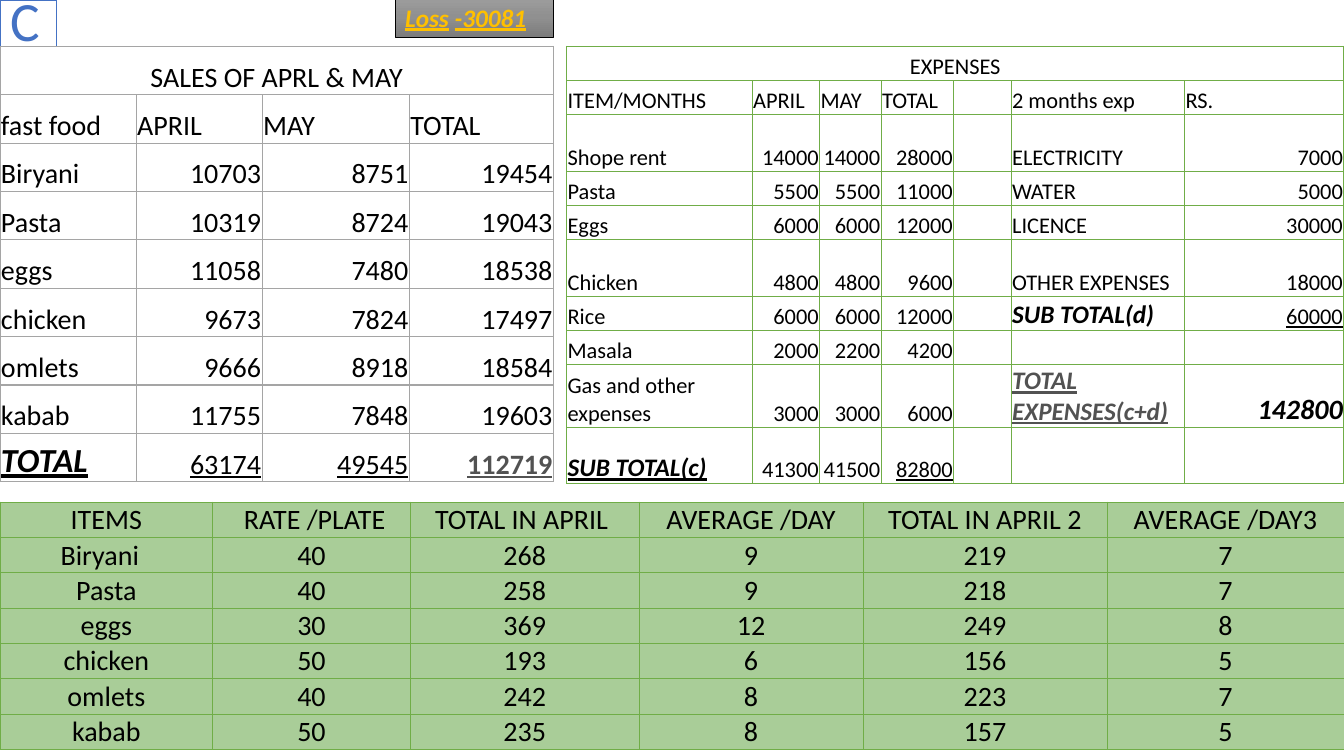
from copy import deepcopy
from pptx import Presentation
from pptx.dml.color import RGBColor
from pptx.enum.shapes import MSO_SHAPE
from pptx.enum.text import MSO_ANCHOR, MSO_AUTO_SIZE, PP_ALIGN
from pptx.oxml import parse_xml
from pptx.oxml.ns import nsdecls
from pptx.util import Inches, Pt

COLORS = {
    "white": "FFFFFF", "black": "000000", "blue": "4472C4", "gray": "A5A5A5",
    "dark": "525252", "green": "70AD47", "light_green": "A9CD98", "gold": "FFC000",
}
STEEL = [(0, "9D9D9D"), (0.5, "909090"), (1, "7C7C7C")]


def write(p, text, size=20, color="black", bold=False, italic=False,
          underline=False, align=PP_ALIGN.LEFT):
    p.alignment = align
    r = p.add_run()
    r.text = text
    r.font.name = "Calibri"
    r.font.size = Pt(size)
    r.font.bold = bold
    r.font.italic = italic
    r.font.underline = underline
    r.font.color.rgb = RGBColor.from_string(COLORS[color])


def add_grid(s, left, top, widths, heights, rows, size, border, weight,
             fill=None, merge=False, center=False, styles={}):
    table = s.shapes.add_table(len(rows), len(widths), Inches(left), Inches(top),
                               Inches(sum(widths)), Inches(sum(heights))).table
    table.first_row = table.horz_banding = False
    for column, width in zip(table.columns, widths):
        column.width = Inches(width)
    for row, height in zip(table.rows, heights):
        row.height = Inches(height)
    if merge:
        table.cell(0, 0).merge(table.cell(0, len(widths) - 1))
    for i in range(len(rows)):
        for j in range(len(widths)):
            cell = table.cell(i, j)
            cell.margin_left = cell.margin_right = cell.margin_top = Inches(0.01)
            cell.margin_bottom = 0
            cell.vertical_anchor = MSO_ANCHOR.BOTTOM
            tcPr = cell._tc.get_or_add_tcPr()
            for side in "LRTB":
                tcPr.append(parse_xml(
                    f'<a:ln{side} {nsdecls("a")} w="{Pt(weight)}"><a:solidFill>'
                    f'<a:srgbClr val="{COLORS[border]}"/></a:solidFill></a:ln{side}>'))
            if fill:
                cell.fill.solid()
                cell.fill.fore_color.rgb = RGBColor.from_string(COLORS[fill])
            else:
                cell.fill.background()
            text = rows[i][j] if j < len(rows[i]) else ""
            if text:
                if center or (merge and i == 0):
                    align = PP_ALIGN.CENTER
                else:
                    align = PP_ALIGN.RIGHT if text.isdigit() else PP_ALIGN.LEFT
                style = {"size": size, "align": align, **styles.get((i, j), {})}
                write(cell.text_frame.paragraphs[0], text, **style)
    return table


prs = Presentation()
prs.slide_width = Inches(13.33)
prs.slide_height = Inches(7.5)
s = prs.slides.add_slide(prs.slide_layouts[5])

title = s.shapes.title
title.left, title.top = Inches(0), Inches(0)
title.width, title.height = Inches(0.56), Inches(0.46)
title.fill.solid()
title.fill.fore_color.rgb = RGBColor.from_string(COLORS["white"])
title.line.color.rgb = RGBColor.from_string(COLORS["blue"])
title.line.width = Pt(1)
tf = title.text_frame
tf.auto_size = MSO_AUTO_SIZE.NONE
tf.vertical_anchor = MSO_ANCHOR.MIDDLE
tf.paragraphs[0].line_spacing = 0.9
write(tf.paragraphs[0], "C", size=39.6, color="blue")

sales = [
    ["SALES OF APRL & MAY"],
    ["fast food", "APRIL", "MAY", "TOTAL"],
    ["Biryani", "10703", "8751", "19454"],
    ["Pasta", "10319", "8724", "19043"],
    ["eggs", "11058", "7480", "18538"],
    ["chicken", "9673", "7824", "17497"],
    ["omlets", "9666", "8918", "18584"],
    ["kabab", "11755", "7848", "19603"],
    ["TOTAL", "63174", "49545", "112719"],
]
sales_styles = {
    (8, 0): dict(size=24, bold=True, italic=True, underline=True),
    (8, 1): dict(underline=True),
    (8, 2): dict(underline=True),
    (8, 3): dict(color="dark", bold=True, underline=True),
}
add_grid(s, 0, 0.46, [1.35, 1.25, 1.46, 1.43], [0.48] * 9, sales, 20, "gray", 1,
         merge=True, styles=sales_styles)

expenses = [
    ["EXPENSES"],
    ["ITEM/MONTHS", "APRIL", "MAY", "TOTAL", "", "2 months exp", "RS."],
    ["Shope rent", "14000", "14000", "28000", "", "ELECTRICITY", "7000"],
    ["Pasta", "5500", "5500", "11000", "", "WATER", "5000"],
    ["Eggs", "6000", "6000", "12000", "", "LICENCE", "30000"],
    ["Chicken", "4800", "4800", "9600", "", "OTHER EXPENSES", "18000"],
    ["Rice", "6000", "6000", "12000", "", "SUB TOTAL(d)", "60000"],
    ["Masala", "2000", "2200", "4200"],
    ["Gas and other expenses", "3000", "3000", "6000", "", "TOTAL EXPENSES(c+d)", "142800"],
    ["SUB TOTAL(c)", "41300", "41500", "82800"],
]
expense_styles = {
    (6, 5): dict(size=18, bold=True, italic=True),
    (6, 6): dict(underline=True),
    (8, 5): dict(size=18, color="dark", bold=True, italic=True, underline=True),
    (8, 6): dict(size=20, bold=True, italic=True),
    (9, 0): dict(size=18, bold=True, italic=True, underline=True),
    (9, 3): dict(underline=True),
}
expense_heights = [0.56 if i in (2, 5, 8, 9) else 0.34 for i in range(10)]
add_grid(s, 5.62, 0.46, [1.84, 0.67, 0.61, 0.72, 0.57, 1.72, 1.58], expense_heights,
         expenses, 16, "green", 1, merge=True, styles=expense_styles)

averages = [
    ["ITEMS", " RATE /PLATE", "TOTAL IN APRIL ", "AVERAGE /DAY", "TOTAL IN APRIL 2", "AVERAGE /DAY3"],
    ["Biryani", "40", "268", "9", "219", "7"],
    ["Pasta", "40", "258", "9", "218", "7"],
    ["eggs", "30", "369", "12", "249", "8"],
    ["chicken", "50", "193", "6", "156", "5"],
    ["omlets", "40", "242", "8", "223", "7"],
    ["kabab", "50", "235", "8", "157", "5"],
]
plates = add_grid(s, 0, 4.98, [2.11, 1.96, 2.27, 2.22, 2.42, 2.35], [0.34] * 7, averages,
                  20, "green", 0.5, fill="light_green", center=True)
plates.cell(1, 0).margin_right = Inches(0.14)

loss = s.shapes.add_shape(MSO_SHAPE.RECTANGLE, Inches(3.92), Inches(-0.03),
                          Inches(1.57), Inches(0.4))
loss.shadow.inherit = False
loss.line.color.rgb = RGBColor.from_string(COLORS["black"])
loss.line.width = Pt(0.5)
loss.fill.gradient()
loss.fill.gradient_angle = 270
first_stop = loss.element.xpath(".//a:gs")[0]
first_stop.addnext(deepcopy(first_stop))
for stop, (position, color) in zip(loss.fill.gradient_stops, STEEL):
    stop.position = position
    stop.color.rgb = RGBColor.from_string(color)
tf = loss.text_frame
tf.word_wrap = True
tf.auto_size = MSO_AUTO_SIZE.SHAPE_TO_FIT_TEXT
tf.vertical_anchor = MSO_ANCHOR.TOP
for word in ("Loss", "-30081"):
    write(tf.paragraphs[0], word, size=18, color="gold", bold=True, italic=True, underline=True)
    write(tf.paragraphs[0], " ", size=18)

prs.save("out.pptx")
